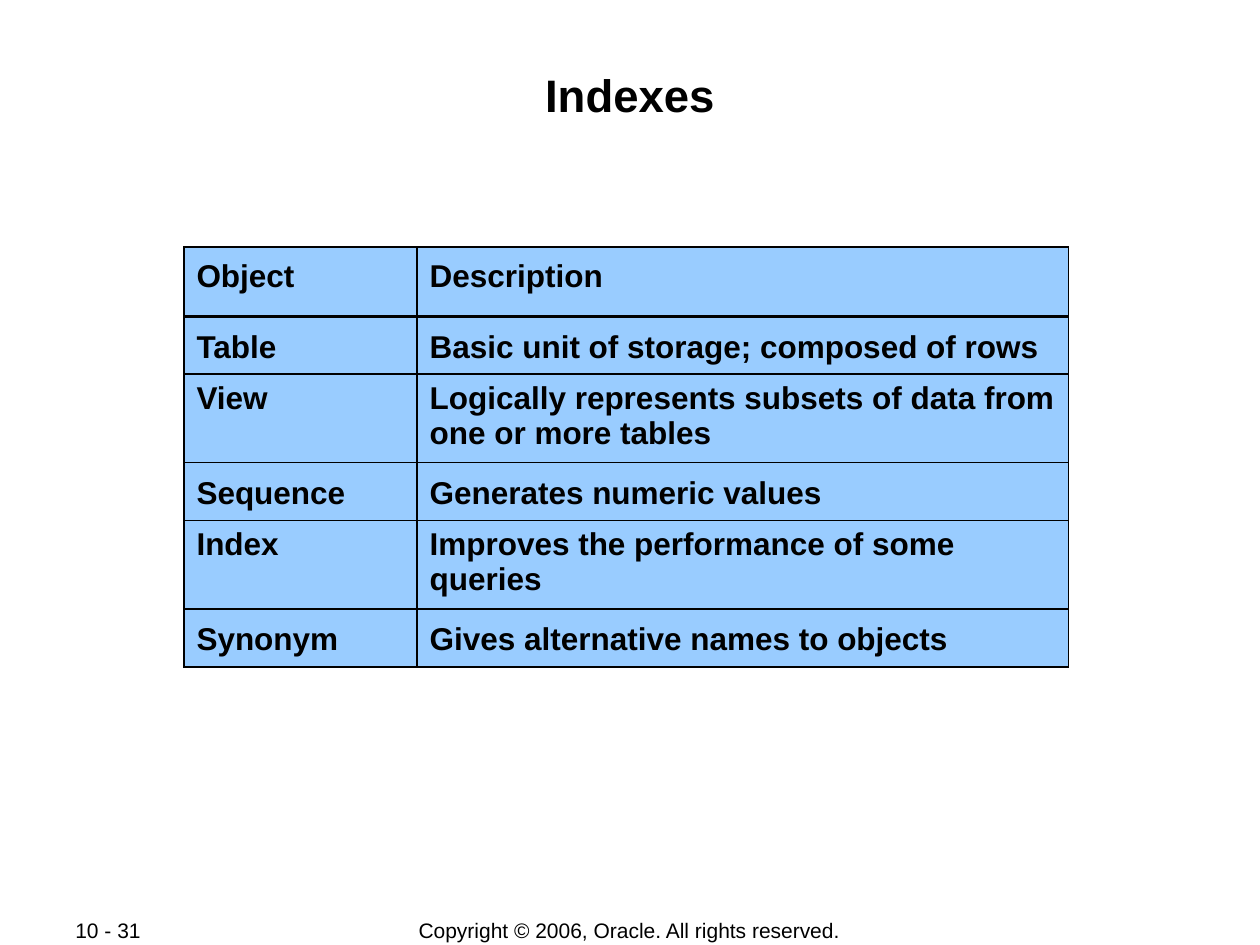
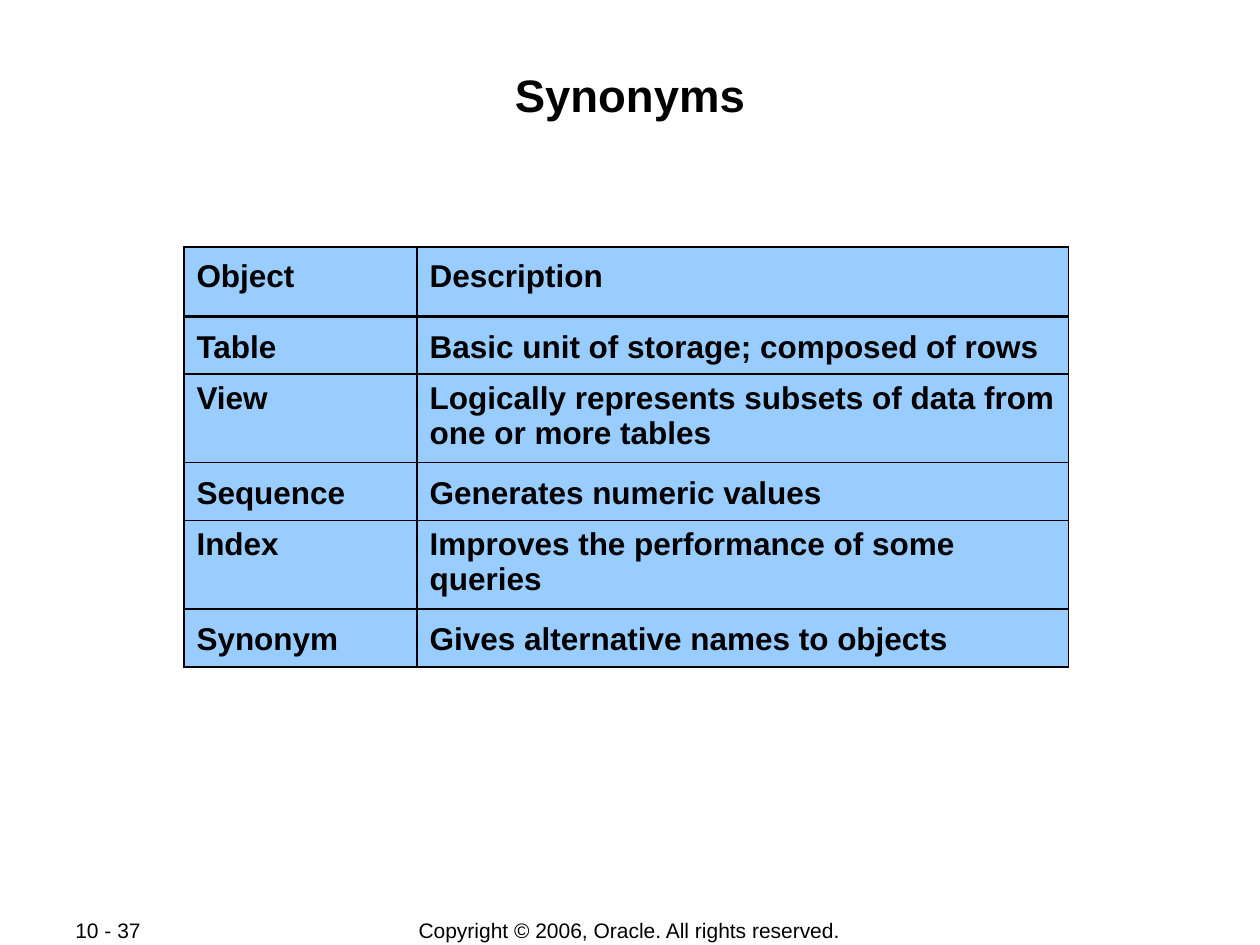
from lxml import etree
from pptx import Presentation
from pptx.dml.color import RGBColor as Rgb
from pptx.enum.text import MSO_ANCHOR as Anchor, PP_ALIGN as Align
from pptx.oxml.ns import qn
from pptx.util import Inches, Pt

# Content
PAGES = [("Indexes", "10 - 31"), ("Synonyms", "10 - 37")]
NOTICE = "Copyright © 2006, Oracle. All rights reserved."
# Each row: object, description, height, line spacing
ROWS = [
    ("Object", "Description", 0.55, 1.15),
    ("Table", "Basic unit of storage; composed of rows", 0.46, 1.2),
    ("View", "Logically represents subsets of data from one or more tables", 0.7, 1.0),
    ("Sequence", "Generates numeric values", 0.46, 1.2),
    ("Index", "Improves the performance of some queries", 0.7, 1.0),
    ("Synonym", "Gives alternative names to objects", 0.46, 1.2),
]

# Shared look
FONT, INK, SKY = "Arial", "000000", "99CCFF"
COLS = (1.85, 5.17)
THIN, THICK = 1.08, 2.21


def color(code):
    return Rgb.from_string(code)


def style(para, size, bold=False, align=Align.LEFT):
    para.alignment = align
    font = para.font
    font.name, font.size, font.bold = FONT, Pt(size), bold
    font.color.rgb = color(INK)


def border(cell, side, width):
    line = etree.SubElement(cell._tc.get_or_add_tcPr(), qn("a:ln" + side), w=str(Pt(width)))
    fill = etree.SubElement(line, qn("a:solidFill"))
    etree.SubElement(fill, qn("a:srgbClr"), val=INK)


def add_title(slide, text):
    title = slide.shapes.title
    title.left, title.top = Inches(0.67), Inches(0.48)
    title.width, title.height = Inches(8.66), Inches(0.96)
    frame = title.text_frame
    frame.margin_left = frame.margin_right = frame.margin_bottom = Inches(0.01)
    frame.margin_top = Inches(0.05)
    frame.vertical_anchor = Anchor.TOP
    frame.text = text
    style(frame.paragraphs[0], 26, True, Align.CENTER)


def add_foot(slide, text, left, width, align):
    box = slide.shapes.add_textbox(Inches(left), Inches(7.28), Inches(width), Inches(0.21))
    frame = box.text_frame
    frame.word_wrap = False
    frame.vertical_anchor = Anchor.MIDDLE
    frame.text = text
    style(frame.paragraphs[0], 12, align=align)


def add_grid(slide):
    high = sum(row[2] for row in ROWS)
    grid = slide.shapes.add_table(
        len(ROWS), len(COLS), Inches(1.46), Inches(1.96), Inches(sum(COLS)), Inches(high)
    ).table
    grid.first_row = grid.horz_banding = False
    for col, width in zip(grid.columns, COLS):
        col.width = Inches(width)
    for r, (*texts, height, space) in enumerate(ROWS):
        grid.rows[r].height = Inches(height)
        for c, text in enumerate(texts):
            cell = grid.cell(r, c)
            # The rule under the heading row is heavier
            widths = {"L": THIN, "R": THIN, "T": THICK if r == 1 else THIN,
                      "B": THICK if r == 0 else THIN}
            for side, width in widths.items():
                border(cell, side, width)
            cell.fill.solid()
            cell.fill.fore_color.rgb = color(SKY)
            cell.text = text
            para = cell.text_frame.paragraphs[0]
            para.line_spacing = space
            style(para, 18, True)


def main():
    deck = Presentation()
    deck.slide_width, deck.slide_height = Inches(10), Inches(7.5)
    for name, number in PAGES:
        slide = deck.slides.add_slide(deck.slide_layouts[5])
        add_foot(slide, NOTICE, 2.75, 4.49, Align.CENTER)
        add_foot(slide, number, 0.5, 1.06, Align.LEFT)
        add_title(slide, name)
        add_grid(slide)
    deck.save("out.pptx")


if __name__ == "__main__":
    main()
